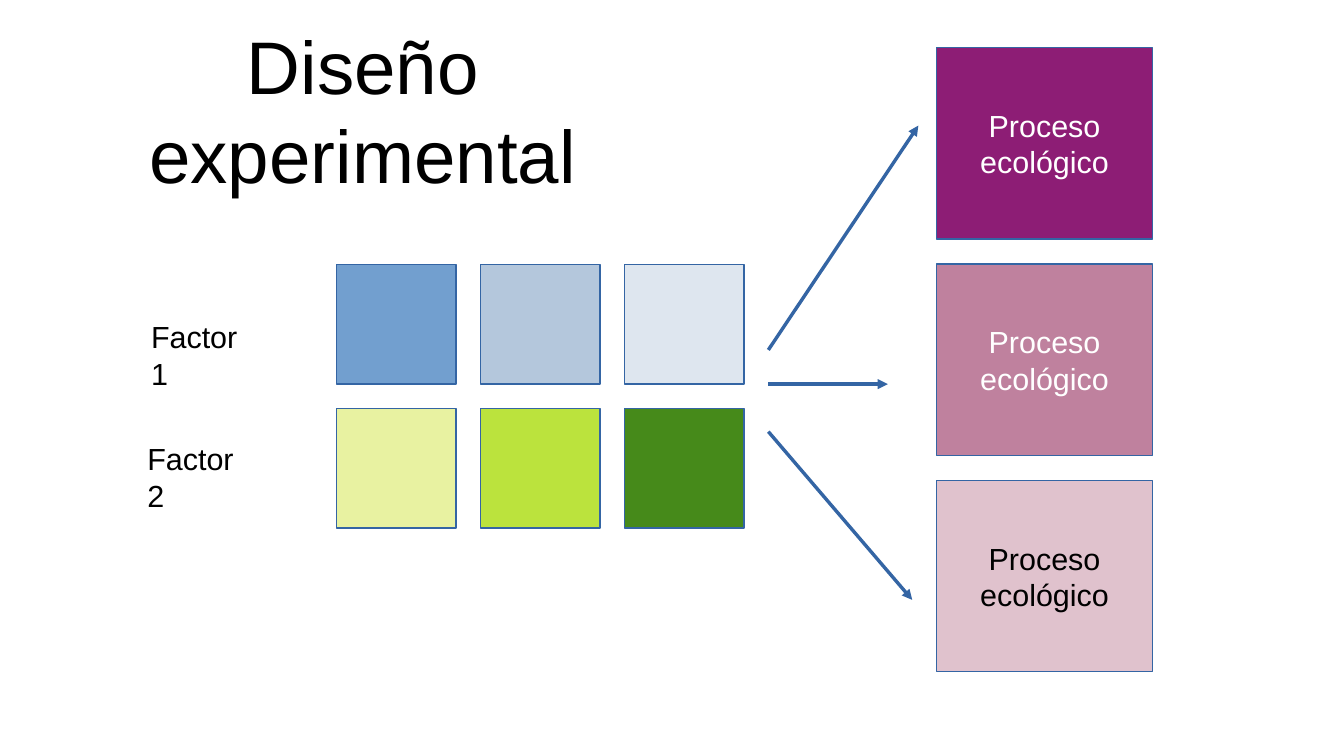
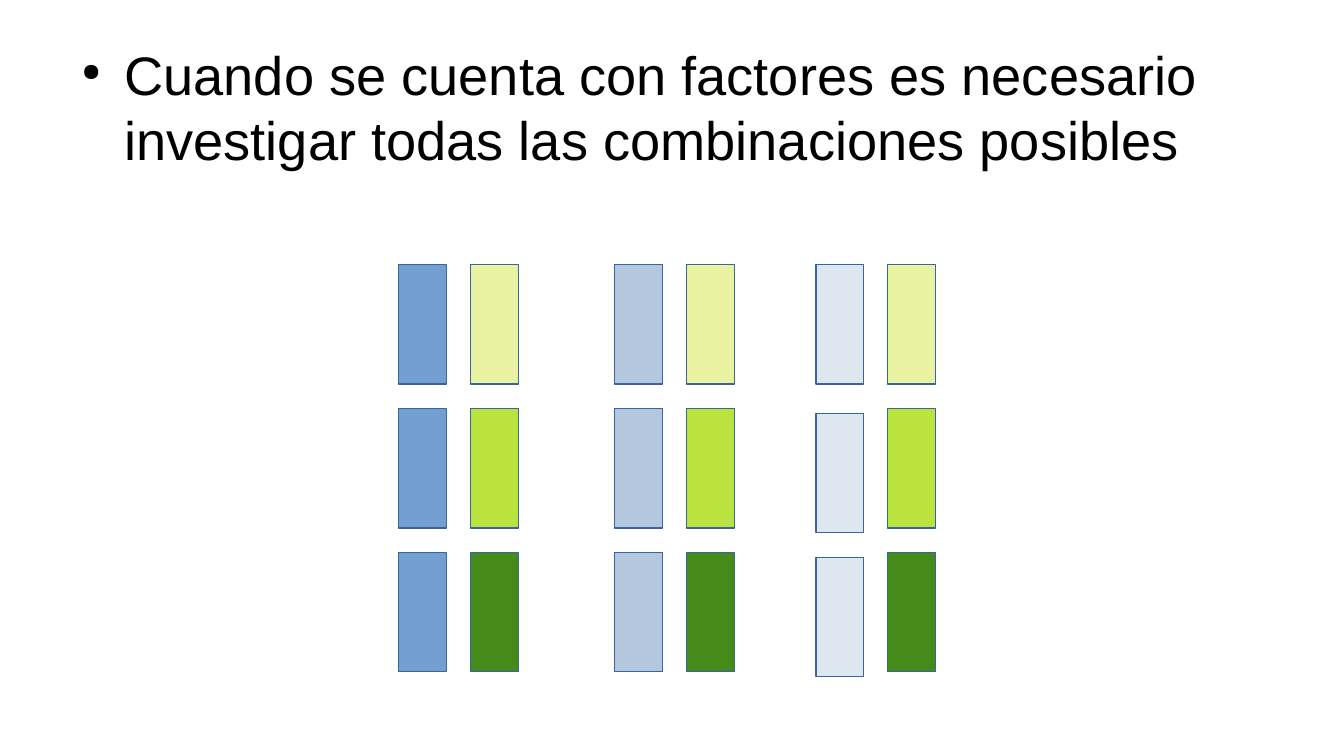
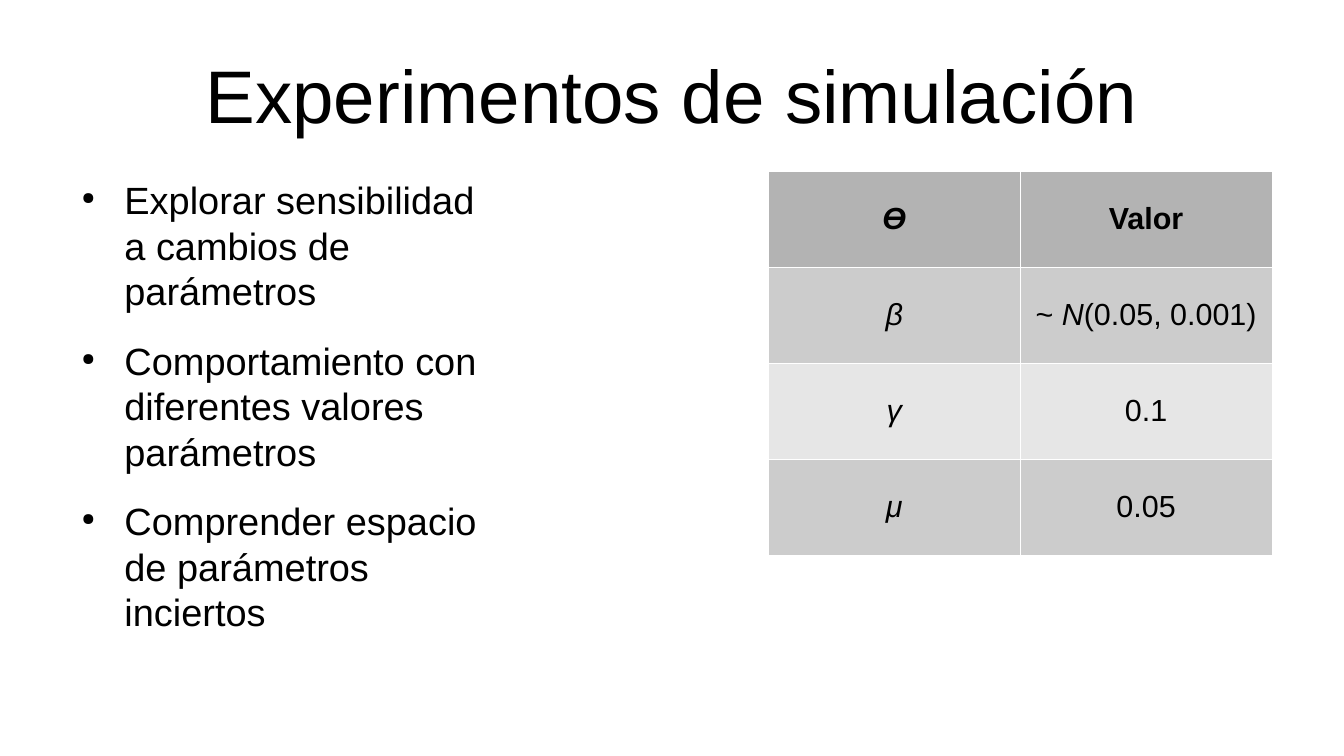
from itertools import product

from pptx import Presentation
from pptx.dml.color import RGBColor
from pptx.enum.shapes import MSO_CONNECTOR, MSO_SHAPE
from pptx.enum.text import MSO_ANCHOR, PP_ALIGN
from pptx.oxml.ns import qn
from pptx.util import Inches, Pt
from lxml import etree

RECTANGLE = MSO_SHAPE.RECTANGLE
STRAIGHT = MSO_CONNECTOR.STRAIGHT
TOP = MSO_ANCHOR.TOP
MIDDLE = MSO_ANCHOR.MIDDLE
LEFT = PP_ALIGN.LEFT
CENTER = PP_ALIGN.CENTER

FONT = "Arial"
BLACK = "000000"
WHITE = "FFFFFF"
OUTLINE = "3465A4"
BLUES = ["729FCF", "B4C7DC", "DEE6EF"]
GREENS = ["E8F2A1", "BBE33D", "468A1A"]
PROCESSES = [("8D1D75", WHITE), ("BF819E", WHITE), ("E0C2CD", BLACK)]
HEADER_GRAY = "B3B3B3"
BAND_GRAYS = ["CCCCCC", "E6E6E6"]

GRID_TOP = 2.17
TILE = 0.98
TILE_PITCH = 1.18
STRIP_WIDTH = 0.39
STRIP_PITCH = 0.59


def rgb(value):
    return RGBColor.from_string(value)


def add_element(parent, tag, **attributes):
    return etree.SubElement(parent, qn(tag), attributes)


def style_font(font, size, color=BLACK):
    font.name = FONT
    font.size = Pt(size)
    font.color.rgb = rgb(color)


def add_text(page, bounds, lines, size, align=LEFT, anchor=TOP, margins=(0, 0), wrap=True):
    box = page.shapes.add_textbox(*map(Inches, bounds))
    frame = box.text_frame
    frame.word_wrap = wrap
    frame.vertical_anchor = anchor
    frame.margin_left = frame.margin_right = Inches(margins[0])
    frame.margin_top = frame.margin_bottom = Inches(margins[1])
    frame.text = "\n".join(lines)
    for para in frame.paragraphs:
        para.alignment = align
        for span in para.runs:
            style_font(span.font, size)
    return frame


def add_title(page, bounds, title):
    add_text(page, bounds, [title], 44, CENTER, MIDDLE)


def add_bullets(page, bounds, lines, size):
    frame = add_text(page, bounds, lines, size)
    for index, para in enumerate(frame.paragraphs):
        properties = para._p.get_or_add_pPr()
        properties.set("marL", str(Inches(0.47)))
        properties.set("indent", str(Inches(-0.35)))
        add_element(add_element(properties, "a:buClr"), "a:srgbClr", val=BLACK)
        add_element(properties, "a:buSzPct", val="45000")
        add_element(properties, "a:buChar", char="●")
        if index:
            para.space_before = Pt(14.2)


def add_rectangle(page, bounds, fill, text="", color=BLACK):
    shape = page.shapes.add_shape(RECTANGLE, *map(Inches, bounds))
    shape.shadow.inherit = False
    shape.fill.solid()
    shape.fill.fore_color.rgb = rgb(fill)
    shape.line.color.rgb = rgb(OUTLINE)
    shape.line.width = Pt(0)
    if text:
        frame = shape.text_frame
        frame.text = text
        frame.word_wrap = True
        frame.vertical_anchor = MIDDLE
        para = frame.paragraphs[0]
        para.alignment = CENTER
        style_font(para.runs[0].font, 18, color)


def add_arrow(page, start, end):
    arrow = page.shapes.add_connector(STRAIGHT, *map(Inches, (*start, *end)))
    arrow.line.color.rgb = rgb(OUTLINE)
    arrow.line.width = Pt(0)
    add_element(arrow.line._get_or_add_ln(), "a:tailEnd", type="triangle")
    add_element(arrow._element.spPr, "a:effectLst")


def set_borders(cell):
    properties = cell._tc.get_or_add_tcPr()
    for side in ("a:lnL", "a:lnR", "a:lnT", "a:lnB"):
        border = add_element(properties, side, w=str(Pt(0.06)))
        add_element(add_element(border, "a:solidFill"), "a:srgbClr", val=WHITE)


def add_parameter_table(page, bounds, rows):
    frame = page.shapes.add_table(len(rows), len(rows[0]), *map(Inches, bounds))
    table = frame.table
    table.first_row = False
    table.horz_banding = False
    for row, spans_by_cell in enumerate(rows):
        fill = BAND_GRAYS[(row - 1) % 2] if row else HEADER_GRAY
        for column, spans in enumerate(spans_by_cell):
            cell = table.cell(row, column)
            set_borders(cell)
            cell.fill.solid()
            cell.fill.fore_color.rgb = rgb(fill)
            cell.vertical_anchor = MIDDLE
            para = cell.text_frame.paragraphs[0]
            para.alignment = CENTER
            for text, italic in spans:
                span = para.add_run()
                span.text = text
                style_font(span.font, 18)
                span.font.bold = row == 0
                span.font.italic = italic


def build_design(page):
    add_title(page, (0.2, 0.21, 5.55, 1.37), "Diseño experimental")
    for row, colors in enumerate((BLUES, GREENS)):
        for column, fill in enumerate(colors):
            left = 2.76 + column * TILE_PITCH
            top = GRID_TOP + row * TILE_PITCH
            add_rectangle(page, (left, top, TILE, TILE), fill)
    for label, left, top in (("Factor 1", 1.14, 2.56), ("Factor 2", 1.11, 3.56)):
        add_text(page, (left, top, 1.11, 0.38), [label], 18, margins=(0.1, 0.05), wrap=False)
    for index, (fill, color) in enumerate(PROCESSES):
        bounds = (7.68, 0.39 + index * 1.775, 1.77, 1.57)
        add_rectangle(page, bounds, fill, "Proceso ecológico", color)
    for start_top, end in ((2.87, (7.53, 1.03)), (3.15, (7.28, 3.15)), (3.54, (7.48, 4.92))):
        add_arrow(page, (6.3, start_top), end)


def build_combinations(page):
    add_bullets(
        page,
        (0.55, 0.34, 9.92, 1.11),
        ["Cuando se cuenta con factores es necesario investigar todas las combinaciones posibles"],
        32,
    )
    pairs = zip((3.27, 5.04, 6.69), BLUES, (0, 0, 0.04))
    for (left, blue, drop), (row, green) in product(pairs, enumerate(GREENS)):
        top = GRID_TOP + row * TILE_PITCH
        blue_top = top + drop if row else top
        add_rectangle(page, (left, blue_top, STRIP_WIDTH, TILE), blue)
        add_rectangle(page, (left + STRIP_PITCH, top, STRIP_WIDTH, TILE), green)


def build_simulation(page):
    add_title(page, (0.55, 0.25, 9.92, 1.04), "Experimentos de simulación")
    add_bullets(
        page,
        (0.55, 1.45, 3.58, 3.6),
        [
            "Explorar sensibilidad a cambios de parámetros",
            "Comportamiento con diferentes valores parámetros",
            "Comprender espacio de parámetros inciertos",
        ],
        22.4,
    )
    rows = [
        ([("ϴ", True)], [("Valor", False)]),
        ([("β", True)], [("~ ", False), ("N", True), ("(0.05, 0.001)", False)]),
        ([("γ", True)], [("0.1", False)]),
        ([("μ", True)], [("0.05", False)]),
    ]
    add_parameter_table(page, (6.3, 1.4, 4.13, 3.15), rows)


def main():
    deck = Presentation()
    deck.slide_width = Inches(11.02)
    deck.slide_height = Inches(6.2)
    for build in (build_design, build_combinations, build_simulation):
        build(deck.slides.add_slide(deck.slide_layouts[6]))
    deck.save("out.pptx")


if __name__ == "__main__":
    main()
